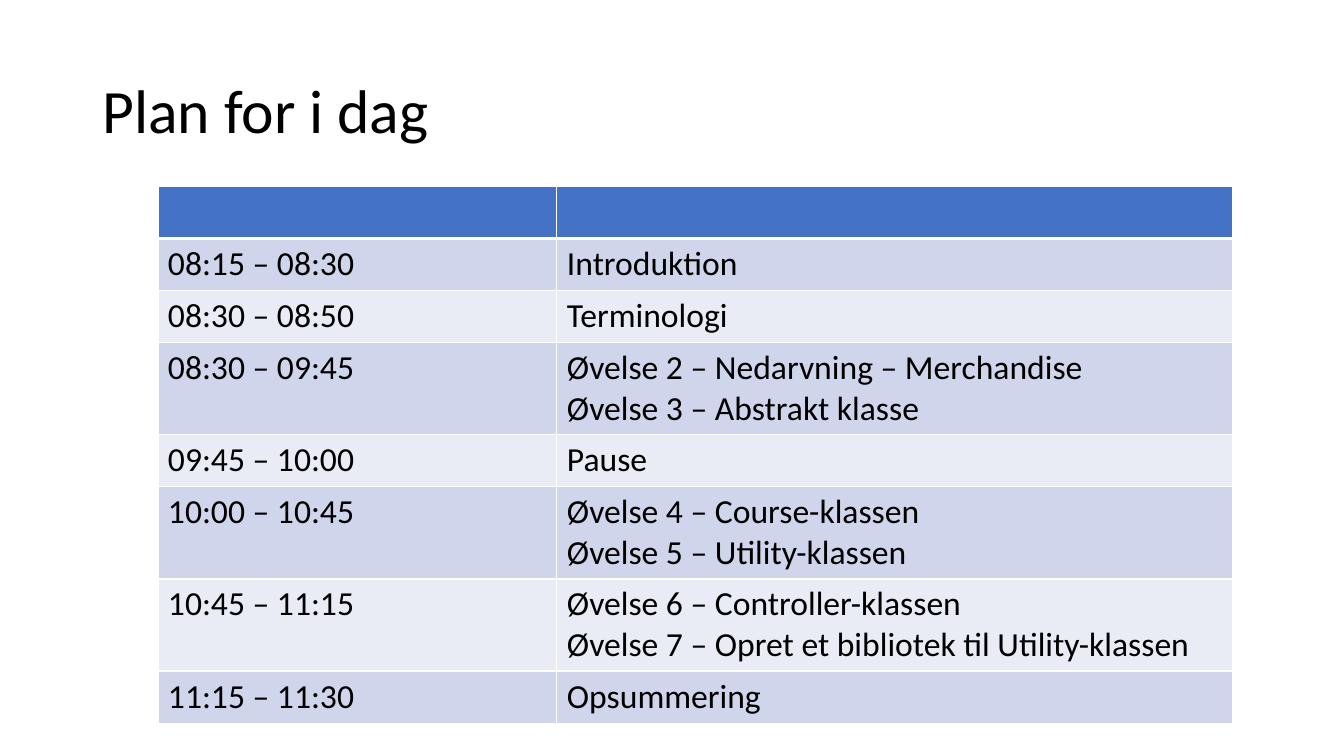
import pptx
import pptx.util
import pptx.dml.color
import pptx.enum.text
import pptx.oxml

COLOURS = {
    "text": "000000",
    "header": "4472C4",
    "odd": "CFD5EA",
    "even": "E9EBF5",
    "border": "FFFFFF",
}
FONT = "Calibri"
GRID_COLUMNS, GRID_ROWS = 160, 90
SINGLE_ROW, DOUBLE_ROW = 6.2, 10.95

AGENDA = [
    ("", ""),
    ("08:15 – 08:30", "Introduktion"),
    ("08:30 – 08:50", "Terminologi"),
    ("08:30 – 09:45", "Øvelse 2 – Nedarvning – Merchandise\nØvelse 3 – Abstrakt klasse"),
    ("09:45 – 10:00", "Pause"),
    ("10:00 – 10:45", "Øvelse 4 – Course-klassen\nØvelse 5 – Utility-klassen"),
    ("10:45 – 11:15", "Øvelse 6 – Controller-klassen\nØvelse 7 – Opret et bibliotek til Utility-klassen"),
    ("11:15 – 11:30", "Opsummering"),
]


def colour(name):
    return pptx.dml.color.RGBColor.from_string(COLOURS[name])


def write_text(frame, text, size=24, spacing=1.0):
    frame.text = text
    for paragraph in frame.paragraphs:
        paragraph.alignment = pptx.enum.text.PP_ALIGN.LEFT
        paragraph.line_spacing = spacing
        for run in paragraph.runs:
            run.font.name = FONT
            run.font.size = pptx.util.Pt(size)
            run.font.bold = False
            run.font.color.rgb = colour("text")


def add_border(cell, side, width):
    cell._tc.get_or_add_tcPr().append(pptx.oxml.parse_xml(
        f'<a:ln{side} xmlns:a="http://schemas.openxmlformats.org/drawingml/2006/main" '
        f'w="{pptx.util.Pt(width)}"><a:solidFill><a:srgbClr val="{COLOURS["border"]}"/>'
        f'</a:solidFill></a:ln{side}>'))


class SlideBuilder:
    def __init__(self, presentation):
        self.column = presentation.slide_width / GRID_COLUMNS
        self.row = presentation.slide_height / GRID_ROWS
        self.slide = presentation.slides.add_slide(presentation.slide_layouts[5])

    def across(self, columns):
        return round(columns * self.column)

    def down(self, rows):
        return round(rows * self.row)

    def title(self, text, left, top, width, height):
        shape = self.slide.shapes.title
        shape.left, shape.top = self.across(left), self.down(top)
        shape.width, shape.height = self.across(width), self.down(height)
        shape.text_frame.vertical_anchor = pptx.enum.text.MSO_ANCHOR.MIDDLE
        write_text(shape.text_frame, text, size=44, spacing=0.9)

    def table(self, records, left, top, widths):
        heights = [DOUBLE_ROW if "\n" in activity else SINGLE_ROW for _, activity in records]
        table = self.slide.shapes.add_table(
            len(records), len(widths), self.across(left), self.down(top),
            self.across(sum(widths)), self.down(sum(heights))).table
        for table_column, width in zip(table.columns, widths):
            table_column.width = self.across(width)
        for index, (record, height) in enumerate(zip(records, heights)):
            table.rows[index].height = self.down(height)
            fill = "header" if index == 0 else "odd" if index % 2 else "even"
            for position, text in enumerate(record):
                cell = table.cell(index, position)
                write_text(cell.text_frame, text)
                for side in "LRTB":
                    heavy = (index, side) in ((0, "B"), (1, "T"))
                    add_border(cell, side, 3 if heavy else 1)
                cell.fill.solid()
                cell.fill.fore_color.rgb = colour(fill)


def main():
    presentation = pptx.Presentation()
    presentation.slide_width = pptx.util.Inches(13.33)
    presentation.slide_height = pptx.util.Inches(7.5)
    builder = SlideBuilder(presentation)
    builder.title("Plan for i dag", left=11, top=4.8, width=138, height=17.4)
    builder.table(AGENDA, left=18.8, top=22.2, widths=(47.5, 80.4))
    presentation.save("out.pptx")


if __name__ == "__main__":
    main()
